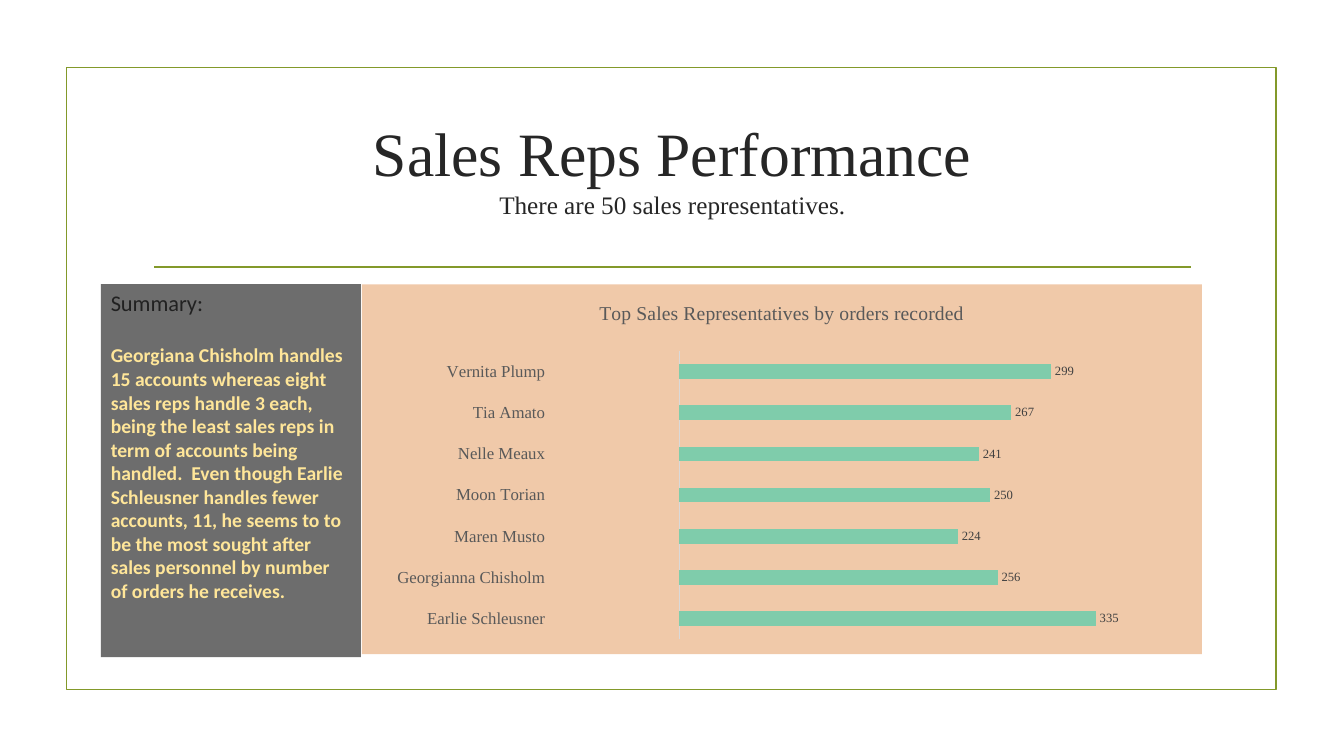
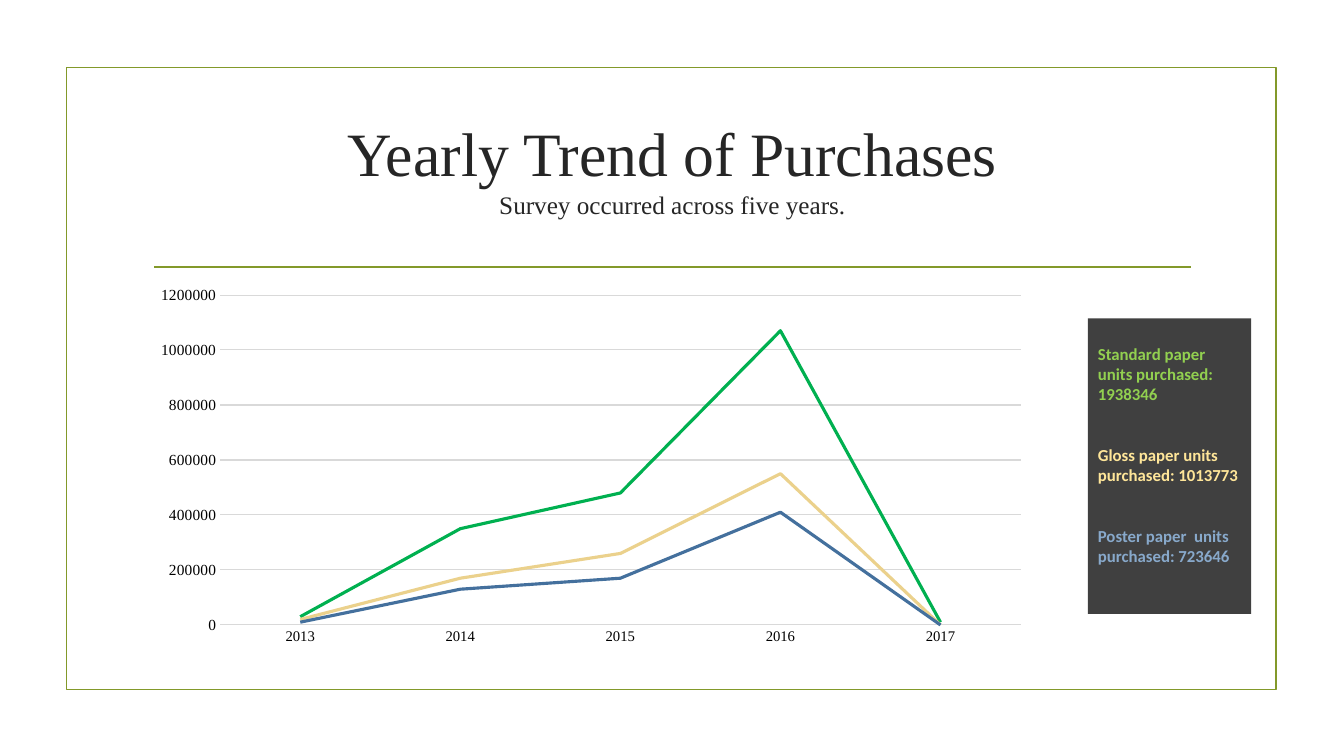
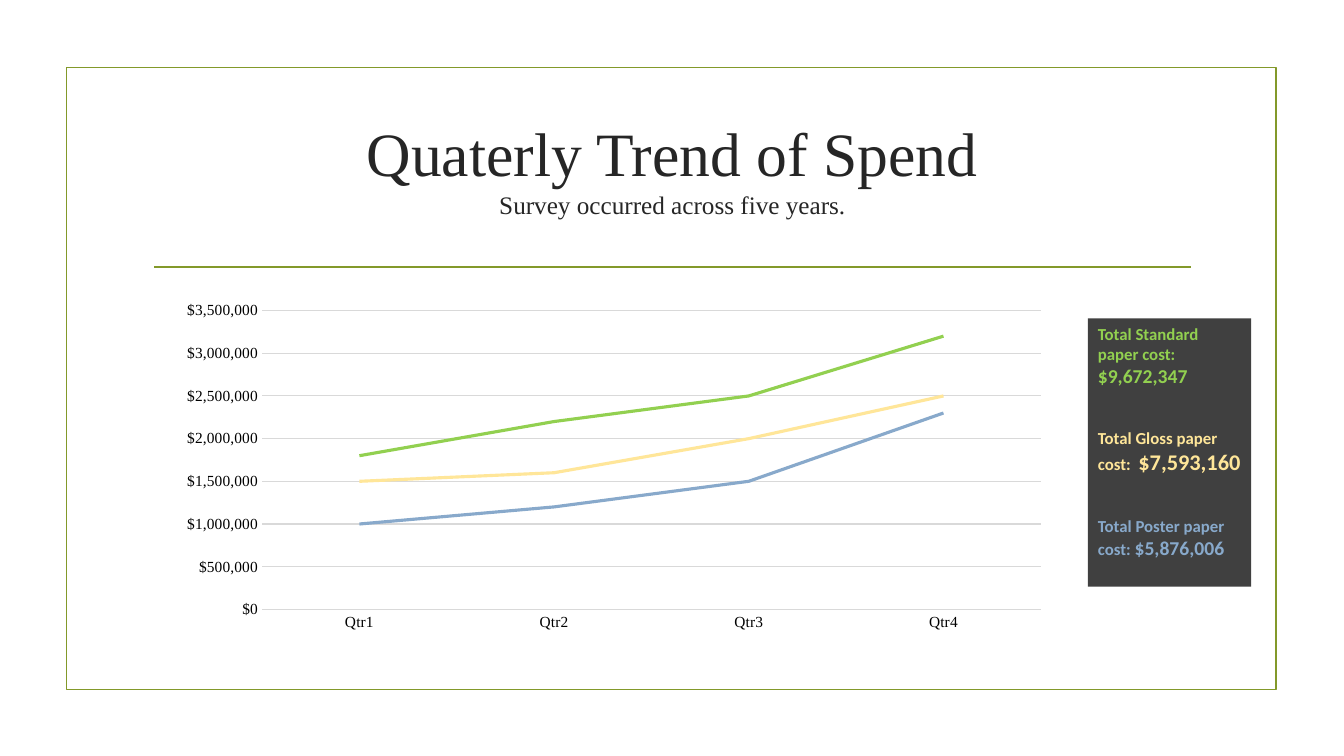
import pptx
import pptx.chart.data
import pptx.dml.color
import pptx.enum.chart
import pptx.enum.shapes
import pptx.enum.text
import pptx.oxml
import pptx.oxml.ns
import pptx.util

Inches = pptx.util.Inches
Pt = pptx.util.Pt
qn = pptx.oxml.ns.qn

# Shared style
SERIF, SANS = "Times New Roman", "Calibri"
OLIVE, INK, BLACK, GREY, RULE = "83992A", "262626", "000000", "595959", "D9D9D9"
CHARCOAL, GREEN, YELLOW, BLUE = "404040", "92D050", "FFE699", "88A9CB"


def rgb(color):
    return pptx.dml.color.RGBColor.from_string(color)


def set_font(font, size, color, name=SERIF, bold=False):
    font.size, font.name, font.bold = Pt(size), name, bold
    font.color.rgb = rgb(color)


def set_line(line, color, width):
    line.color.rgb = rgb(color)
    line.width = Pt(width)


def add_rect(slide, box, fill=None):
    sp = slide.shapes.add_shape(
        pptx.enum.shapes.MSO_SHAPE.RECTANGLE, *map(Inches, box))
    sp.shadow.inherit = False
    if fill:
        sp.fill.solid()
        sp.fill.fore_color.rgb = rgb(fill)
        sp.line.fill.background()
    else:
        sp.fill.background()
    return sp


def add_base(prs, title, subtitle):
    """New slide with the frame, the rule and the two-line title."""
    slide = prs.slides.add_slide(prs.slide_layouts[6])
    frame = add_rect(slide, (0.66, 0.67, 12, 6.17))
    set_line(frame.line, OLIVE, 1.25)

    rule = slide.shapes.add_connector(
        pptx.enum.shapes.MSO_CONNECTOR.STRAIGHT,
        Inches(1.53), Inches(2.65), Inches(11.81), Inches(2.65))
    set_line(rule.line, OLIVE, 1.25)
    rule._element.spPr.append(pptx.oxml.parse_xml(
        f'<a:effectLst {pptx.oxml.ns.nsdecls("a")}/>'))

    tf = slide.shapes.add_textbox(
        Inches(1.42), Inches(0.72), Inches(10.5), Inches(1.78)).text_frame
    tf.word_wrap = True
    tf.margin_top = Inches(0.15)
    tf.vertical_anchor = pptx.enum.text.MSO_ANCHOR.MIDDLE
    p = tf.paragraphs[0]
    p.text = f"{title}\v{subtitle}"
    p.alignment = pptx.enum.text.PP_ALIGN.CENTER
    for r, size in zip(p.runs, (44, 18)):
        set_font(r.font, size, INK)
    return slide


def add_panel(slide, box, fill, paragraphs, gap, top=0.05):
    """Filled panel; each paragraph is a list of (text, size, color, bold)."""
    sp = add_rect(slide, box, fill)
    tf = sp.text_frame
    tf.word_wrap = True
    tf.margin_top = Inches(top)
    tf.vertical_anchor = pptx.enum.text.MSO_ANCHOR.TOP
    for i, runs in enumerate(paragraphs):
        p = tf.add_paragraph() if i else tf.paragraphs[0]
        p.alignment = pptx.enum.text.PP_ALIGN.LEFT
        if i:
            p.space_before = Pt(gap)
        p.text = "".join(text for text, *_ in runs) if len(runs) == 1 else ""
        if len(runs) > 1:
            for text, *_ in runs:
                p.add_run().text = text
            styles = runs
        else:
            styles = runs * len(p.runs)
        for r, (_, size, color, bold) in zip(p.runs, styles):
            set_font(r.font, size, color, SANS, bold)


def add_chart(slide, kind, box, categories, series, cat_size, cat_color):
    """Chart with its fonts and category axis set; series is a list of value lists."""
    data = pptx.chart.data.CategoryChartData()
    data.categories = categories
    for n, values in enumerate(series, 1):
        data.add_series(f"Series {n}", values)
    chart = slide.shapes.add_chart(kind, *map(Inches, box), data).chart
    chart.has_legend = False
    chart.has_title = False
    set_font(chart.font, 10, BLACK)
    chart.plots[0].vary_by_categories = False
    axis = chart.category_axis
    axis.major_tick_mark = pptx.enum.chart.XL_TICK_MARK.NONE
    set_font(axis.tick_labels.font, cat_size, cat_color)
    set_line(axis.format.line, RULE, 0.75)
    return chart


def add_line_chart(slide, box, categories, series, colors, cat_size, fmt="General"):
    chart = add_chart(slide, pptx.enum.chart.XL_CHART_TYPE.LINE, box,
                      categories, series, cat_size, BLACK)
    axis = chart.value_axis
    axis.major_tick_mark = pptx.enum.chart.XL_TICK_MARK.NONE
    axis.format.line.fill.background()
    set_line(axis.major_gridlines.format.line, RULE, 0.75)
    axis.tick_labels.number_format = fmt
    axis.tick_labels.number_format_is_linked = False
    set_font(axis.tick_labels.font, 11, BLACK)
    for ser, color in zip(chart.plots[0].series, colors):
        ser.smooth = False
        ser.marker.style = pptx.enum.chart.XL_MARKER_STYLE.NONE
        set_line(ser.format.line, color, 2.25)


def add_bar_chart(slide, box, title, categories, values, bar, background):
    chart = add_chart(slide, pptx.enum.chart.XL_CHART_TYPE.BAR_CLUSTERED, box,
                      categories, [values], 12, GREY)
    chart.has_title = True
    tf = chart.chart_title.text_frame
    tf.text = title
    set_font(tf.paragraphs[0].runs[0].font, 14, GREY)

    # The scale starts below zero so that the names stand clear of the bars
    axis = chart.value_axis
    axis.minimum_scale, axis.maximum_scale = -100, 400
    axis.has_major_gridlines = False
    axis.visible = False
    chart.category_axis.tick_label_position = pptx.enum.chart.XL_TICK_LABEL_POSITION.LOW

    plot = chart.plots[0]
    plot.gap_width = 182
    fill = plot.series[0].format.fill
    fill.solid()
    fill.fore_color.rgb = rgb(bar)
    plot.has_data_labels = True
    labels = plot.data_labels
    labels.show_value = True
    labels.position = pptx.enum.chart.XL_LABEL_POSITION.OUTSIDE_END
    set_font(labels.font, 9, CHARCOAL)

    # Background and plot position
    root = chart._chartSpace
    ns = pptx.oxml.ns.nsdecls("c", "a")
    root.find(qn("c:chart")).addnext(pptx.oxml.parse_xml(
        f'<c:spPr {ns}><a:solidFill><a:srgbClr val="{background}"/></a:solidFill>'
        '<a:ln><a:noFill/></a:ln></c:spPr>'))
    area = root.find(".//" + qn("c:plotArea"))
    for old in area.findall(qn("c:layout")):
        area.remove(old)
    settings = (("layoutTarget", "inner"), ("xMode", "edge"), ("yMode", "edge"),
                ("x", 0.23), ("y", 0.18), ("w", 0.74), ("h", 0.78))
    inner = "".join(f'<c:{tag} val="{val}"/>' for tag, val in settings)
    area.insert(0, pptx.oxml.parse_xml(
        f'<c:layout {ns}><c:manualLayout>{inner}</c:manualLayout></c:layout>'))


def sales_reps(prs):
    slide = add_base(prs, "Sales Reps Performance", "There are 50 sales representatives.")
    summary = (
        "Georgiana Chisholm handles 15 accounts whereas eight sales reps handle 3 each, "
        "being the least sales reps in term of accounts being handled.  Even though "
        "Earlie Schleusner handles fewer accounts, 11, he seems to to be the most sought "
        "after sales personnel by number of orders he receives.")
    add_panel(slide, (1, 2.82, 2.58, 3.7), "6D6D6D",
              [[("Summary:", 16, "212121", False)], [(summary, 14, YELLOW, True)]], 19.5)
    orders = {"Earlie Schleusner": 335, "Georgianna Chisholm": 256, "Maren Musto": 224,
              "Moon Torian": 250, "Nelle Meaux": 241, "Tia Amato": 267,
              "Vernita Plump": 299}
    add_bar_chart(slide, (3.59, 2.82, 8.33, 3.67),
                  "Top Sales Representatives by orders recorded",
                  list(orders), list(orders.values()), "7FCCAB", "F0C9A9")


def yearly_purchases(prs):
    slide = add_base(prs, "Yearly Trend of Purchases", "Survey occurred across five years.")
    add_line_chart(slide, (1.42, 2.77, 8.88, 3.7),
                   ["2013", "2014", "2015", "2016", "2017"],
                   [(30000, 350000, 480000, 1070000, 10000),
                    (20000, 170000, 260000, 550000, 0),
                    (10000, 130000, 170000, 410000, 0)],
                   ("00B050", "EBD18C", "44709D"), 10.5)
    units = (("Standard paper units purchased: 1938346", GREEN),
             ("Gloss paper units\vpurchased: 1013773", YELLOW),
             ("Poster paper  units\vpurchased: 723646", BLUE))
    add_panel(slide, (10.79, 3.16, 1.62, 2.93), CHARCOAL,
              [[(text, 12, color, True)] for text, color in units], 29, top=0.25)


def quarterly_spend(prs):
    slide = add_base(prs, "Quaterly Trend of Spend", "Survey occurred across five years.")
    costs = (("Total Standard paper cost: ", "$9,672,347", 14, GREEN),
             ("Total Gloss paper cost:  ", "$7,593,160", 16, YELLOW),
             ("Total Poster paper cost: ", "$5,876,006", 14, BLUE))
    add_panel(slide, (10.79, 3.16, 1.62, 2.66), CHARCOAL,
              [[(label, 12, color, True), (cost, size, color, True)]
               for label, cost, size, color in costs], 29)
    add_line_chart(slide, (1.68, 2.93, 8.82, 3.39), ["Qtr1", "Qtr2", "Qtr3", "Qtr4"],
                   [(1800000, 2200000, 2500000, 3200000),
                    (1500000, 1600000, 2000000, 2500000),
                    (1000000, 1200000, 1500000, 2300000)],
                   (GREEN, YELLOW, BLUE), 11, '"$"#,##0')


def main():
    prs = pptx.Presentation()
    prs.slide_width, prs.slide_height = Inches(13.33), Inches(7.5)
    sales_reps(prs)
    yearly_purchases(prs)
    quarterly_spend(prs)
    prs.save("out.pptx")


if __name__ == "__main__":
    main()
